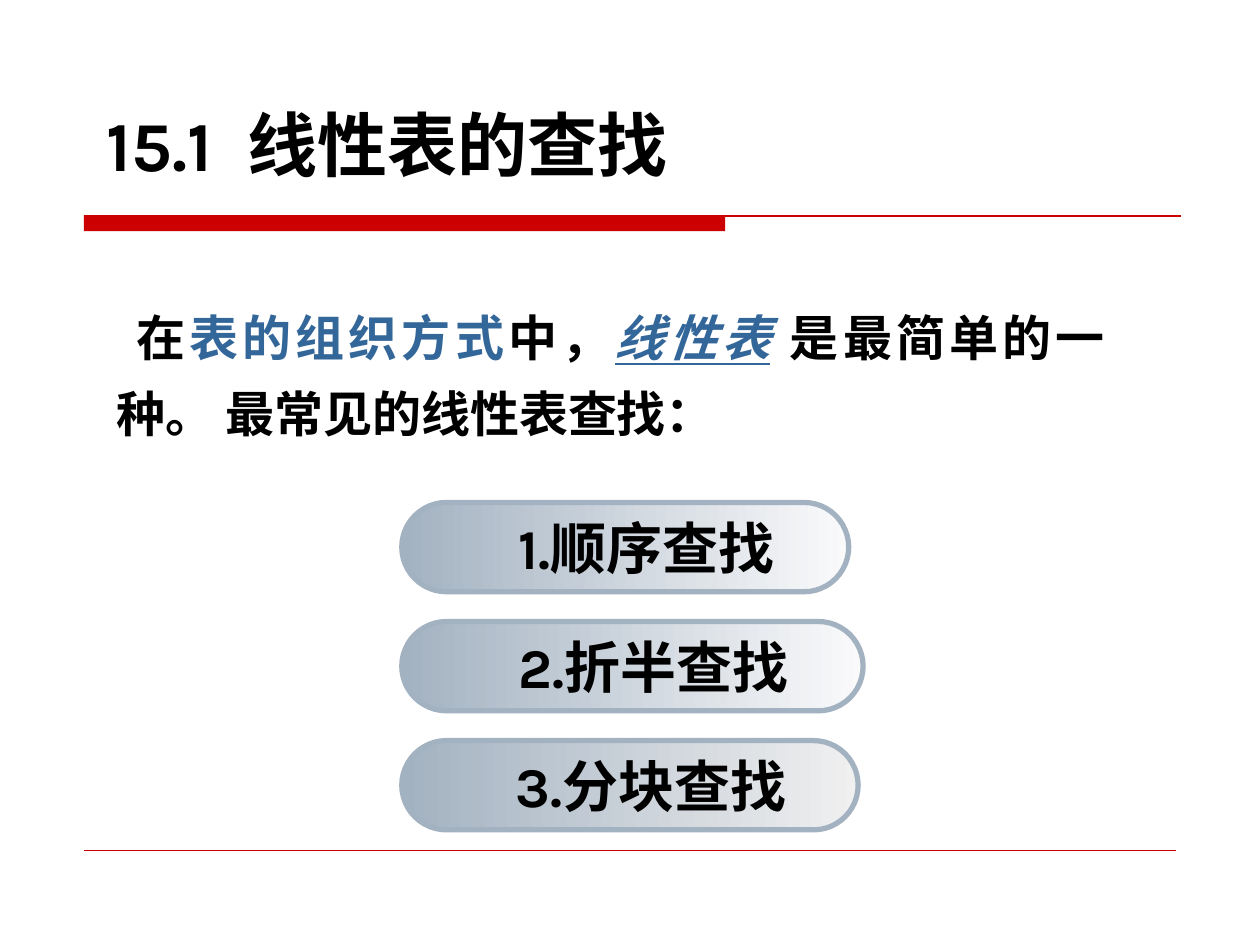
from dataclasses import dataclass

from lxml import etree
from pptx import Presentation
from pptx import util as u
from pptx.dml import color
from pptx.enum import shapes, text
from pptx.oxml import ns

RED = "CC0000"
BLUE = "336699"
BLACK = "000000"
STEEL = "A3B2C1"
LATIN = "Karla"
CHINESE = "Noto Sans CJK SC"


@dataclass
class Span:
    words: str
    colour: str = BLACK
    italic: bool = False
    underline: bool = False


@dataclass
class Pill:
    label: str
    width: float
    end_colour: str


def rgb(value: str) -> color.RGBColor:
    return color.RGBColor.from_string(value)


def add_span(para, span: Span, size: float, font: str) -> None:
    run = para.add_run()
    run.text = span.words
    run.font.name = font
    run.font.size = u.Pt(size)
    run.font.bold = True
    run.font.italic = span.italic
    run.font.underline = span.underline
    run.font.color.rgb = rgb(span.colour)
    east_asian = etree.SubElement(run.font._element, ns.qn("a:ea"))
    east_asian.set("typeface", CHINESE)


def add_rule(page, left: float, right: float, top: float, weight: float) -> None:
    rule = page.shapes.add_connector(
        shapes.MSO_CONNECTOR.STRAIGHT, u.Cm(left), u.Cm(top), u.Cm(right), u.Cm(top)
    )
    rule.line.color.rgb = rgb(RED)
    rule.line.width = u.Pt(weight)
    etree.SubElement(rule._element.spPr, ns.qn("a:effectLst"))


def add_bar(page) -> None:
    bar = page.shapes.add_shape(
        shapes.MSO_SHAPE.RECTANGLE, u.Cm(1.69), u.Cm(4.34), u.Cm(12.93), u.Cm(0.32)
    )
    bar.shadow.inherit = False
    bar.fill.solid()
    bar.fill.fore_color.rgb = rgb(RED)
    bar.line.fill.background()


def format_title(page) -> None:
    title = page.shapes.title
    title.left, title.top = u.Cm(1.9), u.Cm(1.92)
    title.width, title.height = u.Cm(14.2), u.Cm(1.96)
    frame = title.text_frame
    frame.auto_size = text.MSO_AUTO_SIZE.NONE
    frame.vertical_anchor = text.MSO_ANCHOR.TOP
    para = frame.paragraphs[0]
    para.alignment = text.PP_ALIGN.LEFT
    add_span(para, Span("15.1  线性表的查找"), 40, LATIN)


def add_intro(page, spans: list[Span]) -> None:
    box = page.shapes.add_textbox(u.Cm(2.1), u.Cm(5.72), u.Cm(20.42), u.Cm(7.54))
    box.text_frame.word_wrap = True
    para = box.text_frame.paragraphs[0]
    para.alignment = text.PP_ALIGN.JUSTIFY
    para.line_spacing = 1.3
    para.space_before = u.Pt(7)
    para._p.get_or_add_pPr().set("hangingPunct", "0")
    for span in spans:
        add_span(para, span, 28, CHINESE)


def add_pill(page, pill: Pill, top: float) -> None:
    shape = page.shapes.add_shape(
        shapes.MSO_SHAPE.ROUNDED_RECTANGLE, u.Cm(8.1), u.Cm(top), u.Cm(pill.width), u.Cm(1.8)
    )
    shape.adjustments[0] = 0.5
    shape.shadow.inherit = False
    shape.fill.gradient()
    shape.fill.gradient_angle = 0
    for stop, value in zip(shape.fill.gradient_stops, (STEEL, pill.end_colour)):
        stop.color.rgb = rgb(value)
    shape.line.color.rgb = rgb(STEEL)
    shape.line.width = u.Pt(3)
    frame = shape.text_frame
    frame.word_wrap = False
    frame.margin_left = u.Cm(1.12)
    frame.vertical_anchor = text.MSO_ANCHOR.MIDDLE
    para = frame.paragraphs[0]
    para.alignment = text.PP_ALIGN.CENTER
    add_span(para, Span(pill.label), 32, LATIN)


def main() -> None:
    deck = Presentation()
    deck.slide_width, deck.slide_height = u.Cm(25.4), u.Cm(19.05)
    page = deck.slides.add_slide(deck.slide_layouts[5])
    add_bar(page)
    add_rule(page, 1.7, 23.8, 4.35, 1)
    add_rule(page, 1.7, 23.7, 17.15, 0.25)
    format_title(page)
    add_intro(page, [
        Span(" 在"),
        Span("表的组织方式", BLUE),
        Span("中，"),
        Span("线性表", BLUE, italic=True, underline=True),
        Span(" ", BLUE, italic=True),
        Span("是最简单的一种。 最常见的线性表查找："),
    ])
    pills = [
        Pill("1.顺序查找", 9.01, "FAFAFB"),
        Pill("2.折半查找", 9.3, "FAFAFB"),
        Pill("3.分块查找", 9.2, "F0F0F0"),
    ]
    for row, pill in enumerate(pills):
        add_pill(page, pill, 10.13 + 2.4 * row)
    deck.save("out.pptx")


if __name__ == "__main__":
    main()
